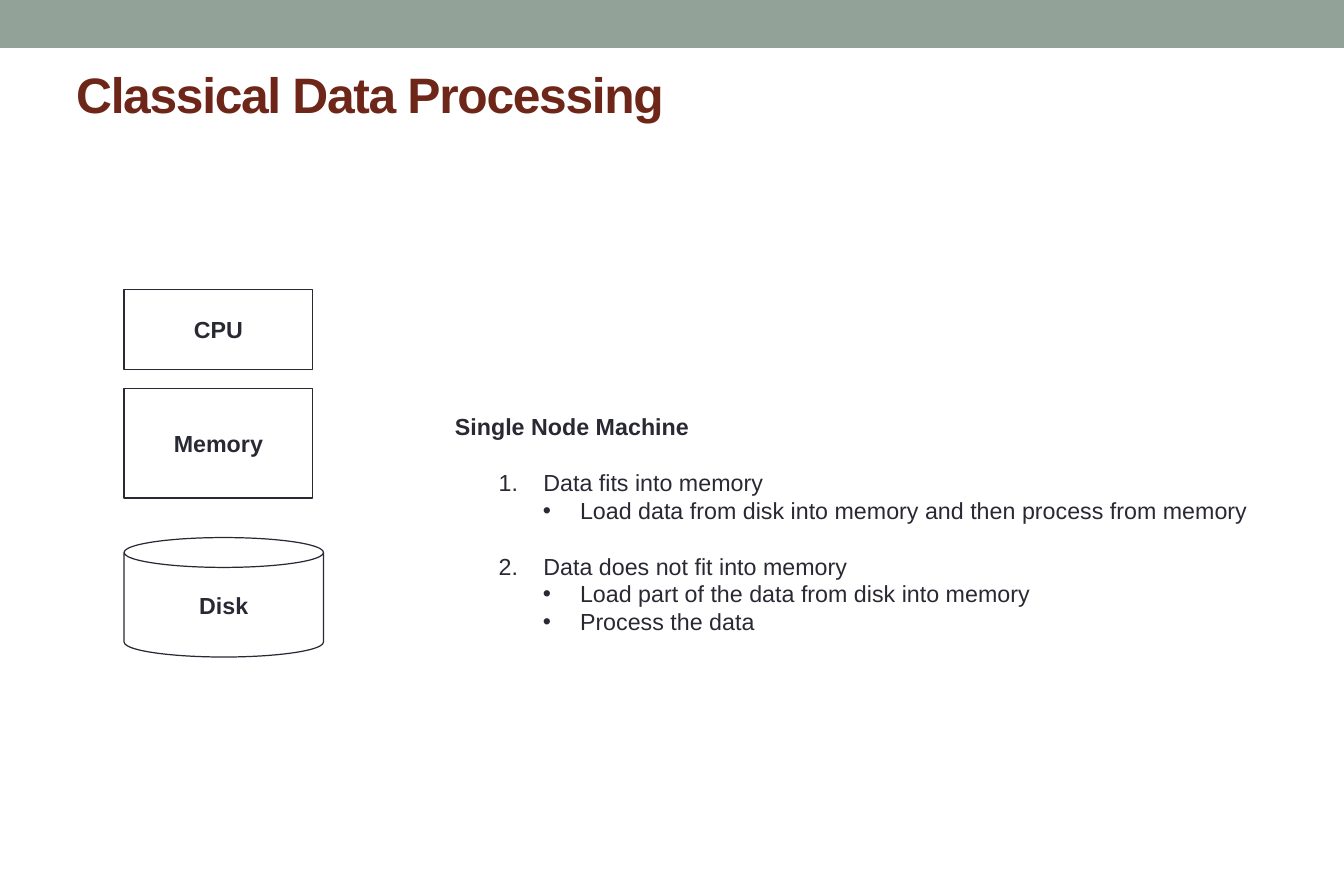
from lxml.etree import SubElement
from pptx import Presentation
from pptx.dml.color import RGBColor
from pptx.enum.shapes import MSO_SHAPE
from pptx.enum.text import MSO_ANCHOR, MSO_AUTO_SIZE, PP_ALIGN
from pptx.oxml.ns import qn
from pptx.util import Cm, Pt

SAGE = RGBColor(0x93, 0xA2, 0x99)
MAROON = RGBColor(0x6E, 0x26, 0x19)
INK = RGBColor(0x29, 0x29, 0x34)
LINE_PITCH = Pt(16.8)

STACK_LEFT = 2.64
STACK = [  # label, preset, top, width, height
    ("CPU", MSO_SHAPE.RECTANGLE, 6.15, 4.01, 1.7),
    ("Memory", MSO_SHAPE.RECTANGLE, 8.26, 4.01, 2.33),
    ("Disk", MSO_SHAPE.CAN, 11.43, 4.24, 2.54),
]

CASES = [
    ("Data fits into memory",
     ["Load data from disk into memory and then process from memory"]),
    ("Data does not fit into memory",
     ["Load part of the data from disk into memory", "Process the data"]),
]


def write(p, text, size=14, color=INK, bold=False, align=PP_ALIGN.LEFT, spacing=None):
    p.alignment = align
    r = p.add_run()
    r.text = text
    r.font.name = "Arial"
    r.font.size = Pt(size)
    r.font.bold = bold
    r.font.color.rgb = color
    if spacing is not None:
        r.font._element.set("spc", str(spacing))


def set_marker(p, indent=0, hang=0, number=None, bullet=None):
    """Give a paragraph its indent and a number, a bullet or no marker."""
    pPr = p._p.get_or_add_pPr()
    pPr.set("marL", str(Cm(indent)))
    pPr.set("indent", str(-Cm(hang)))
    if number:
        SubElement(pPr, qn("a:buFont"), typeface="+mj-lt")
        SubElement(pPr, qn("a:buAutoNum"), type="arabicPeriod", startAt=str(number))
    elif bullet:
        SubElement(pPr, qn("a:buFont"), typeface="Arial")
        SubElement(pPr, qn("a:buChar"), char=bullet)
    else:
        SubElement(pPr, qn("a:buNone"))


def place(sp, left, top, width, height):
    sp.left, sp.top, sp.width, sp.height = Cm(left), Cm(top), Cm(width), Cm(height)


def add_block(s, preset, left, top, width, height, fill=None, line=None):
    sp = s.shapes.add_shape(preset, Cm(left), Cm(top), Cm(width), Cm(height))
    sp.shadow.inherit = False
    if fill is None:
        sp.fill.background()
    else:
        sp.fill.solid()
        sp.fill.fore_color.rgb = fill
    if line is None:
        sp.line.fill.background()
    else:
        sp.line.color.rgb = line
        sp.line.width = Pt(0.75)
    return sp


def add_component(s, label, preset, top, width, height):
    sp = add_block(s, preset, STACK_LEFT, top, width, height, line=INK)
    tf = sp.text_frame
    tf.word_wrap = False
    tf.vertical_anchor = MSO_ANCHOR.MIDDLE
    write(tf.paragraphs[0], label, bold=True, align=PP_ALIGN.CENTER)


def fill_title(sp):
    place(sp, 1.42, 1.24, 25.7, 1.5)
    tf = sp.text_frame
    tf.auto_size = MSO_AUTO_SIZE.NONE
    tf.vertical_anchor = MSO_ANCHOR.MIDDLE
    tf.margin_left = tf.margin_right = Cm(0.2)
    tf.margin_top = tf.margin_bottom = Cm(0.1)
    write(tf.paragraphs[0], "Classical Data Processing", size=30, color=MAROON,
          bold=True, spacing=-80)


def fill_cases(sp):
    place(sp, 9.42, 8.64, 17.58, 5.05)
    tf = sp.text_frame
    tf.auto_size = MSO_AUTO_SIZE.NONE
    tf.word_wrap = True

    def add_line(p, text, level=0, gap=0, bold=False, **marker):
        p.level = level
        set_marker(p, **marker)
        p.line_spacing = LINE_PITCH
        p.space_before = gap
        write(p, text, bold=bold)

    add_line(tf.paragraphs[0], "Single Node Machine", bold=True)
    for number, (case, steps) in enumerate(CASES, 1):
        add_line(tf.add_paragraph(), case, level=1, gap=LINE_PITCH,
                 indent=1.88, hang=0.95, number=number)
        for step in steps:
            add_line(tf.add_paragraph(), step, level=2,
                     indent=2.66, hang=0.79, bullet="•")


def main():
    prs = Presentation()
    prs.slide_width, prs.slide_height = Cm(28.58), Cm(19.05)
    s = prs.slides.add_slide(prs.slide_layouts[1])
    add_block(s, MSO_SHAPE.RECTANGLE, 0, 0, 28.58, 1.02, fill=SAGE)
    fill_title(s.shapes.title)
    for component in STACK:
        add_component(s, *component)
    fill_cases(s.placeholders[1])
    prs.save("out.pptx")


if __name__ == "__main__":
    main()
